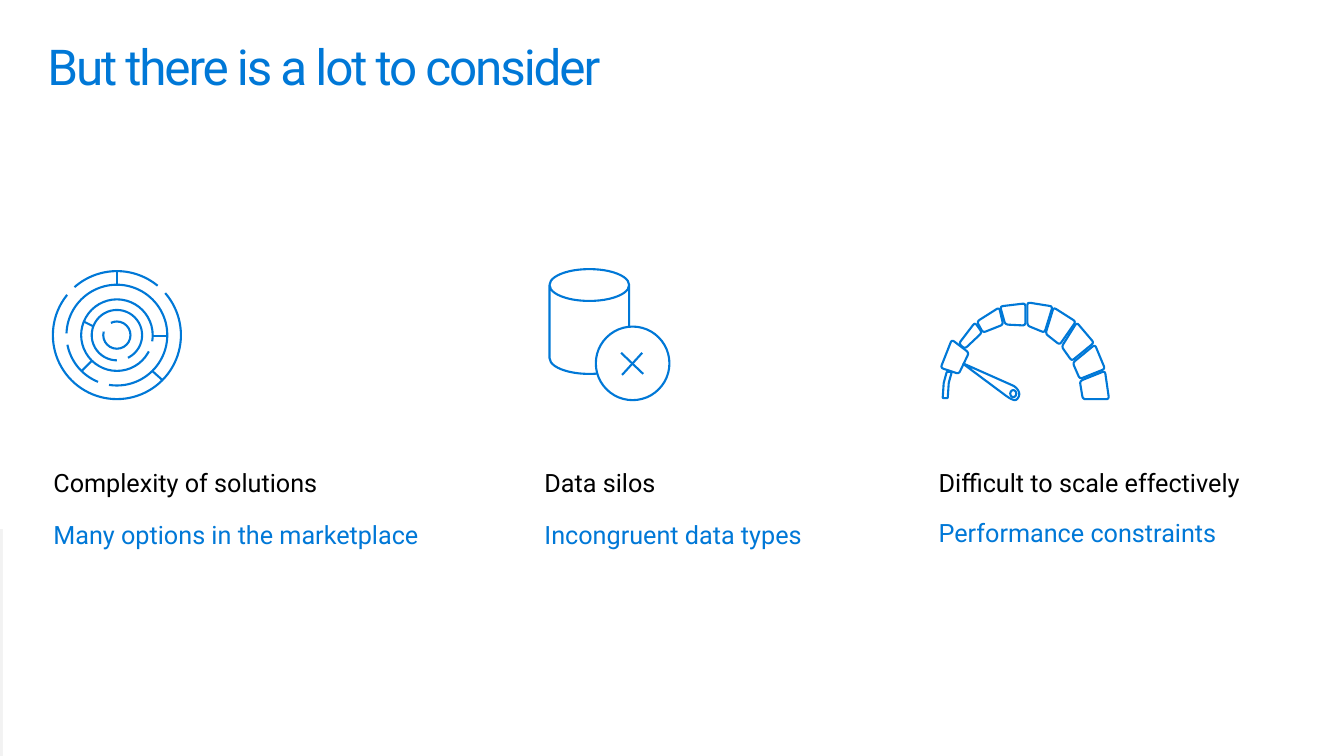
import pptx
import pptx.util
import pptx.dml.color
import pptx.enum.shapes
import pptx.enum.text
import pptx.oxml

Inches = pptx.util.Inches
SHAPES = pptx.enum.shapes.MSO_SHAPE
ANCHOR = pptx.enum.text.MSO_ANCHOR
BLUE, BLACK, WHITE, GRAY = "0078D7", "000000", "FFFFFF", "F2F2F2"


def paint(shape, fill=None, line=None):
    """Set fill and outline from hex strings; None means no paint."""
    shape.shadow.inherit = False
    for name, part in ((fill, shape.fill), (line, shape.line.fill)):
        if name:
            part.solid()
            part.fore_color.rgb = pptx.dml.color.RGBColor.from_string(name)
        else:
            part.background()
    if line:
        shape.line.width = pptx.util.Pt(1.5)


def add_text(left, top, width, height, text, size, color):
    box = page.shapes.add_textbox(Inches(left), Inches(top), Inches(width), Inches(height))
    frame = box.text_frame
    frame.word_wrap = True
    frame.margin_left = frame.margin_right = frame.margin_top = frame.margin_bottom = 0
    frame.vertical_anchor = ANCHOR.MIDDLE
    frame.text = text
    font = frame.paragraphs[0].runs[0].font
    font.name = "Roboto"
    font.size = pptx.util.Pt(size)
    font.color.rgb = pptx.dml.color.RGBColor.from_string(color)
    return frame


deck = pptx.Presentation()
deck.slide_width, deck.slide_height = Inches(13.33), Inches(7.5)
page = deck.slides.add_slide(deck.slide_layouts[6])

# Background: a gray strip shows at the lower left edge
for left, top, width, height, color in ((0, 5.25, 13.33, 2.25, GRAY), (0.03, 1, 13.3, 6.5, WHITE)):
    panel = page.shapes.add_shape(
        SHAPES.RECTANGLE, Inches(left), Inches(top), Inches(width), Inches(height))
    paint(panel, fill=color)

# Title
title = add_text(0.47, 0.24, 12.4, 0.83, "But there is a lot to consider", 35.3, BLUE)
title.margin_top = Inches(0.18)
title.vertical_anchor = ANCHOR.TOP
title.paragraphs[0].line_spacing = 0.9
title.paragraphs[0].runs[0].font._element.set("spc", "-150")

# Captions
columns = (
    (0.53, 5.15, "Complexity of solutions", "Many options in the marketplace"),
    (5.4, 5.15, "Data silos", "Incongruent data types"),
    (9.31, 5.13, "Difficult to scale effectively", "Performance constraints"),
)
for left, detail_top, heading, detail in columns:
    add_text(left, 4.64, 3.66, 0.3, heading, 18, BLACK)
    add_text(left, detail_top, 3.66, 0.3, detail, 18, BLUE)

# Maze rings: radius, start and end in degrees clockwise from the right
maze_x, maze_y = 1.16, 3.325
rings = (
    (0.135, 244, 195), (0.25, 90, 64), (0.355, 27, 10), (0.5, 182, 99),
    (0.5, 112, 169), (0.635, 228.5, 309.5), (0.635, 319, 219),
)
for radius, start, end in rings:
    ring = page.shapes.add_shape(
        SHAPES.ARC, Inches(maze_x - radius), Inches(maze_y - radius),
        Inches(2 * radius), Inches(2 * radius))
    # An arc angle counts 60000 units per degree; an adjustment counts 100000 per 1.0
    ring.adjustments[0], ring.adjustments[1] = start * 0.6, end * 0.6
    paint(ring, line=BLUE)

# Data store with its error badge
store = page.shapes.add_shape(SHAPES.CAN, Inches(5.45), Inches(2.67), Inches(0.79), Inches(1.04))
store.adjustments[0] = 0.4
paint(store, line=BLUE)
badge = page.shapes.add_shape(SHAPES.OVAL, Inches(5.91), Inches(3.24), Inches(0.73), Inches(0.73))
paint(badge, fill=WHITE, line=BLUE)

# Maze walls, then the cross on the badge
strokes = (
    (1.16, 2.83, 1.16, 2.69), (1.52, 3.33, 1.66, 3.33), (1.51, 3.68, 1.61, 3.77),
    (0.91, 3.58, 0.81, 3.68), (0.83, 3.19, 0.93, 3.24),
    (6.37, 3.5, 6.17, 3.72), (6.16, 3.5, 6.38, 3.71),
)
for ends in strokes:
    stroke = page.shapes.add_connector(
        pptx.enum.shapes.MSO_CONNECTOR.STRAIGHT, *[Inches(value) for value in ends])
    stroke.line.color.rgb = pptx.dml.color.RGBColor.from_string(BLUE)
    stroke.line.width = pptx.util.Pt(1.5)
    stroke._element.spPr.append(pptx.oxml.parse_xml(
        '<a:effectLst xmlns:a="http://schemas.openxmlformats.org/drawingml/2006/main"/>'))

# Gauge: corner rounding and corners of each outline, needle first
outlines = (
    (0.04, ((9.54, 3.6), (10.08, 3.84), (10.12, 3.91), (10.08, 3.98), (10.01, 3.95))),
    (0.01, ((9.4, 3.95), (9.41, 3.8), (9.44, 3.69), (9.39, 3.69), (9.36, 3.8), (9.35, 3.95))),
    (0.03, ((9.44, 3.37), (9.61, 3.5), (9.51, 3.71), (9.33, 3.65))),
    (0.03, ((9.67, 3.2), (9.74, 3.3), (9.57, 3.46), (9.51, 3.41))),
    (0.03, ((9.91, 3.05), (9.95, 3.22), (9.75, 3.3), (9.69, 3.19))),
    (0.03, ((9.92, 3.04), (10.17, 3.01), (10.17, 3.23), (9.97, 3.22))),
    (0.03, ((10.19, 3), (10.44, 3.04), (10.36, 3.3), (10.19, 3.23))),
    (0.03, ((10.45, 3.05), (10.67, 3.19), (10.51, 3.42), (10.37, 3.31))),
    (0.03, ((10.68, 3.2), (10.85, 3.4), (10.63, 3.58), (10.53, 3.44))),
    (0.03, ((10.86, 3.42), (10.96, 3.66), (10.71, 3.76), (10.64, 3.6))),
    (0.03, ((10.96, 3.68), (11, 3.96), (10.74, 3.96), (10.71, 3.78))),
)
for rounding, corners in outlines:
    points = []
    for index, (x, y) in enumerate(corners):
        cuts = []
        for near_x, near_y in (corners[index - 1], corners[(index + 1) % len(corners)]):
            length = ((near_x - x) ** 2 + (near_y - y) ** 2) ** 0.5
            share = min(rounding / length, 0.5)
            cuts.append((x + (near_x - x) * share, y + (near_y - y) * share))
        (in_x, in_y), (out_x, out_y) = cuts
        for step in range(5):
            t = step / 4
            a, b, c = (1 - t) ** 2, 2 * t * (1 - t), t ** 2
            points.append((Inches(a * in_x + b * x + c * out_x), Inches(a * in_y + b * y + c * out_y)))
    builder = page.shapes.build_freeform(*points[0])
    builder.add_line_segments(points[1:], close=True)
    paint(builder.convert_to_shape(), line=BLUE)
hub = page.shapes.add_shape(SHAPES.OVAL, Inches(10.02), Inches(3.87), Inches(0.06), Inches(0.07))
paint(hub, line=BLUE)

deck.save("out.pptx")
